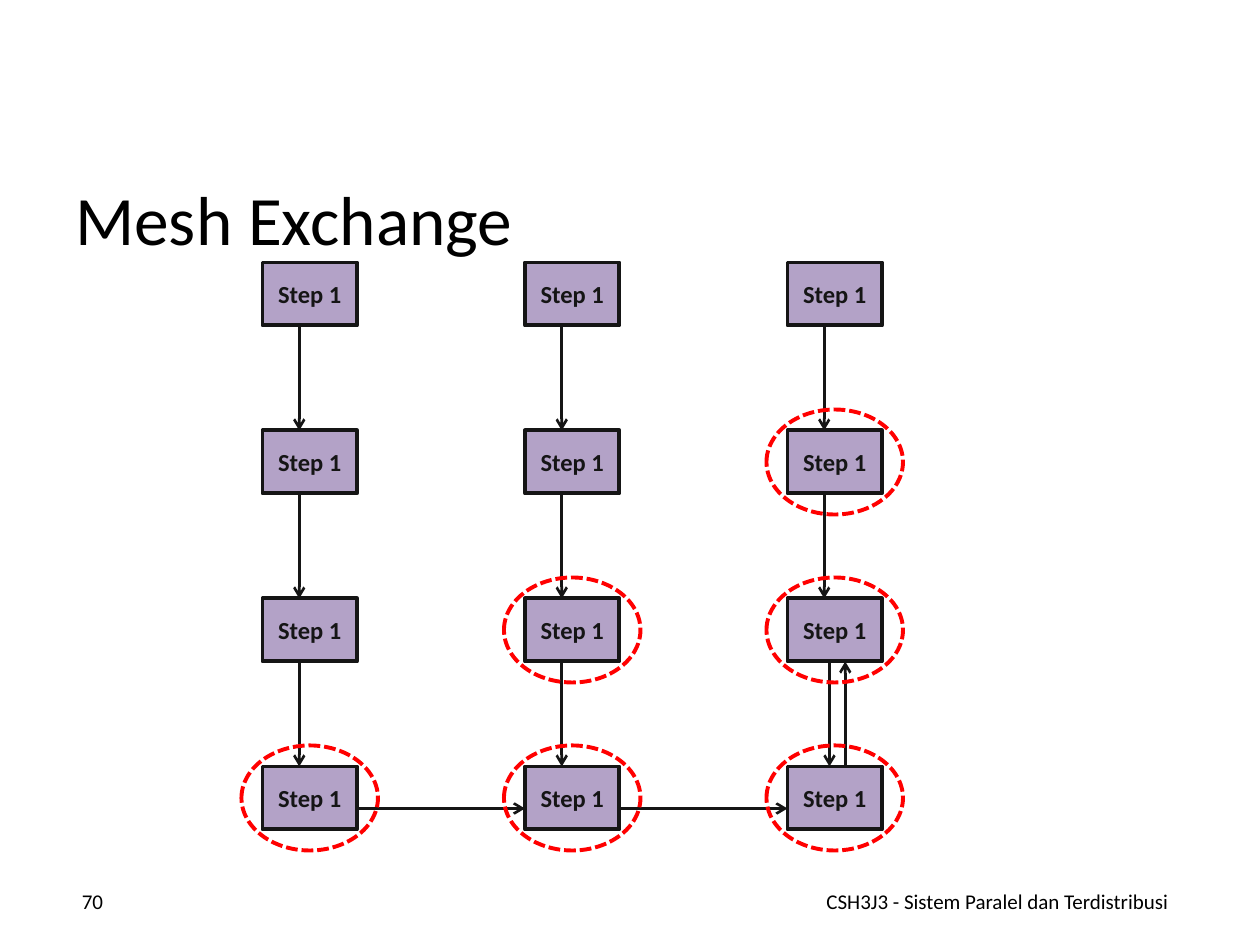
from pptx import Presentation
from pptx import util as u
from pptx.dml.color import RGBColor
from pptx.enum import dml, shapes, text
from pptx.oxml.ns import qn
from lxml import etree

INK, LILAC, RED = "151515", "B3A2C7", "FF0000"


def rgb(code):
    return RGBColor.from_string(code)


class Board:
    """Style and current slide; lengths are cells of a 240 by 180 grid."""
    cols, rows, font = 240, 180, "Calibri"

    def __init__(self, deck):
        self.deck = deck
        self.slide = deck.slides.add_slide(deck.slide_layouts[6])

    def cells(self, x, y):
        return (round(x * self.deck.slide_width / self.cols),
                round(y * self.deck.slide_height / self.rows))

    def letter(self, shape, words, size, color, align, bold=False):
        frame = shape.text_frame
        frame.word_wrap = True
        frame.vertical_anchor = text.MSO_ANCHOR.MIDDLE
        para = frame.paragraphs[0]
        para.text, para.alignment = words, align
        font = para.font
        font.name, font.size, font.bold = self.font, u.Pt(size), bold
        font.color.rgb = rgb(color)

    def label(self, x, y, w, h, words, size, align):
        box = self.slide.shapes.add_textbox(*self.cells(x, y), *self.cells(w, h))
        self.letter(box, words, size, "000000", align)

    def shape(self, kind, x, y, w, h, line):
        item = self.slide.shapes.add_shape(kind, *self.cells(x, y), *self.cells(w, h))
        item.shadow.inherit = False
        item.line.color.rgb, item.line.width = rgb(line), u.Pt(2.25)
        return item

    def step(self, x, y, w, h):
        item = self.shape(shapes.MSO_SHAPE.RECTANGLE, x, y, w, h, INK)
        item.fill.solid()
        item.fill.fore_color.rgb = rgb(LILAC)
        self.letter(item, "Step 1", 14, INK, text.PP_ALIGN.CENTER, True)

    def ring(self, x, y, w, h):
        item = self.shape(shapes.MSO_SHAPE.OVAL, x, y, w, h, RED)
        item.fill.background()
        item.line.dash_style = dml.MSO_LINE.SQUARE_DOT

    def arrow(self, x1, y1, x2, y2):
        item = self.slide.shapes.add_connector(
            shapes.MSO_CONNECTOR.STRAIGHT, *self.cells(x1, y1), *self.cells(x2, y2))
        item.line.color.rgb, item.line.width = rgb(INK), u.Pt(1.5)
        props = item._element.spPr
        etree.SubElement(props.find(qn("a:ln")), qn("a:tailEnd"), type="arrow")
        etree.SubElement(props, qn("a:effectLst"))


def main():
    deck = Presentation()
    deck.slide_width, deck.slide_height = u.Inches(10), u.Inches(7.5)
    board = Board(deck)
    align = text.PP_ALIGN

    # Title and footer
    board.label(12, 34, 216, 15, "Mesh Exchange", 39.6, align.LEFT)
    board.label(152, 166.8, 76, 9.6, "CSH3J3 - Sistem Paralel dan Terdistribusi",
                12, align.CENTER)
    board.label(8, 166.8, 14, 9.6, "70", 12, align.RIGHT)

    # Mesh of steps
    wide, high = 18, 12
    lefts = [50 + 50 * c for c in range(3)]
    tops = [50 + 32 * r for r in range(4)]
    for y in tops:
        for x in lefts:
            board.step(x, y, wide, high)

    # Downward arrows; the last pair of steps swaps both ways
    for x in lefts:
        for y, below in zip(tops, tops[1:]):
            swap = x == lefts[-1] and below == tops[-1]
            lane = x + (8 if swap else 7)
            board.arrow(lane, y + high, lane, below)
            if swap:
                board.arrow(x + 11, below, x + 11, y + high)

    # Arrows along the bottom row
    for x, after in zip(lefts, lefts[1:]):
        board.arrow(x + wide, tops[-1] + 8, after, tops[-1] + 8)

    # Rings on and below the diagonal
    for c, x in enumerate(lefts):
        for y in tops[3 - c:]:
            board.ring(x - 4, y - 4, wide + 8, high + 8)

    deck.save("out.pptx")


if __name__ == "__main__":
    main()
